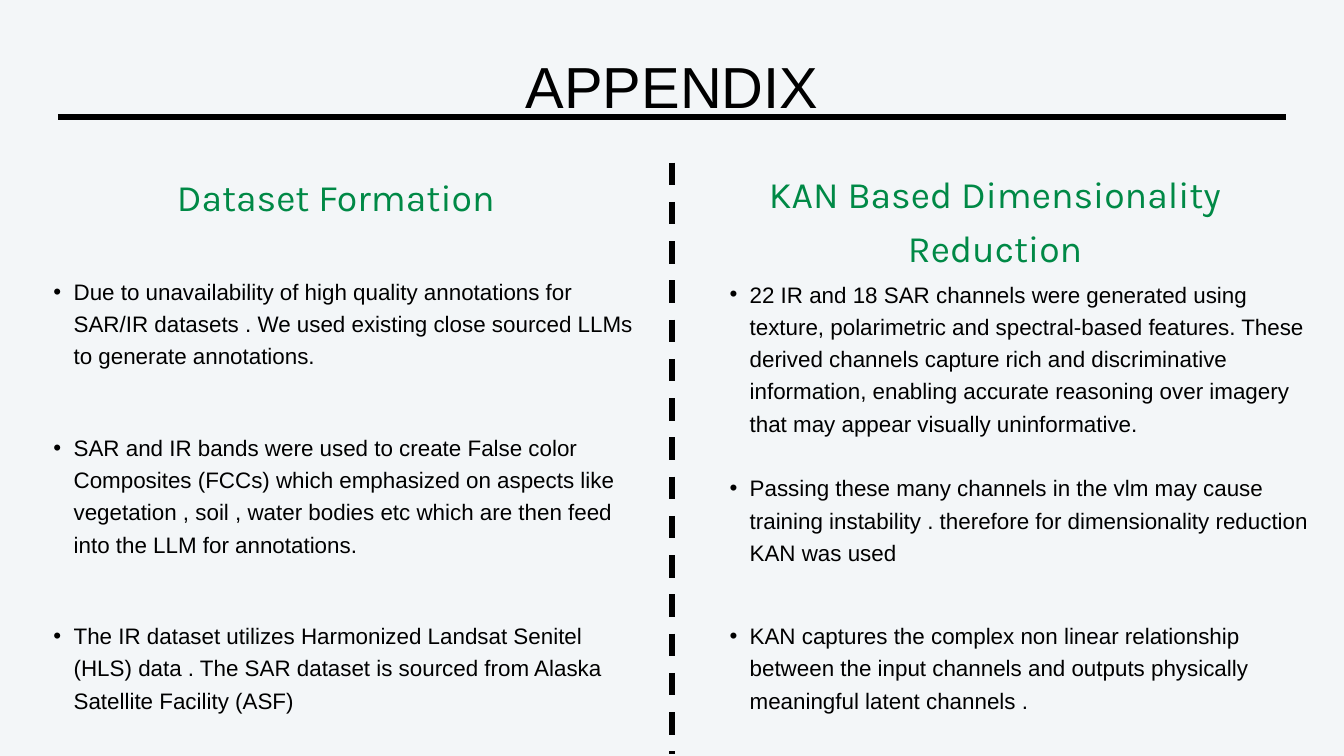
import pptx
import pptx.dml.color
import pptx.enum.dml
import pptx.enum.shapes
import pptx.enum.text
import pptx.oxml.ns
import pptx.util
from lxml import etree
from pptx.util import Inches

COLORS = {"background": "F3F6F8", "text": "000000", "heading": "008946"}


def rgb(name):
    return pptx.dml.color.RGBColor.from_string(COLORS[name])


def add_text(text, left, top, width, height, size, font="Arial",
             color="text", inset=0, bullet=False):
    box = slide.shapes.add_textbox(
        Inches(left), Inches(top), Inches(width), Inches(height))
    frame = box.text_frame
    frame.word_wrap = True
    frame.margin_left = frame.margin_right = Inches(inset)
    frame.margin_top = frame.margin_bottom = Inches(inset)
    paragraph = frame.paragraphs[0]
    paragraph.text = text
    paragraph.line_spacing = 1.2
    if bullet:
        properties = paragraph._p.get_or_add_pPr()
        properties.set("marL", str(Inches(0.33)))
        properties.set("indent", str(Inches(-0.15)))
        bullet_color = etree.SubElement(properties, pptx.oxml.ns.qn("a:buClr"))
        etree.SubElement(bullet_color, pptx.oxml.ns.qn("a:srgbClr"), val=COLORS[color])
        etree.SubElement(properties, pptx.oxml.ns.qn("a:buFont"), typeface="Arial")
        etree.SubElement(properties, pptx.oxml.ns.qn("a:buChar"), char="•")
    else:
        paragraph.alignment = pptx.enum.text.PP_ALIGN.CENTER
    run_font = paragraph.runs[0].font
    run_font.name = font
    run_font.size = pptx.util.Pt(size)
    run_font.color.rgb = rgb(color)


# 16:9 slide
presentation = pptx.Presentation()
presentation.slide_width = Inches(10)
presentation.slide_height = Inches(10) * 9 // 16
slide = presentation.slides.add_slide(presentation.slide_layouts[6])
slide.background.fill.solid()
slide.background.fill.fore_color.rgb = rgb("background")

# Title and column headings
add_text("APPENDIX", 0.28, 0.27, 9.44, 0.52, size=31)
add_text("Dataset Formation", 0, 1.23, 5, 0.34,
         size=20, font="Karla", color="heading")
add_text("KAN Based Dimensionality Reduction", 5.15, 1.21, 4.51, 0.74,
         size=20, font="Karla", color="heading")

# Title rule and dashed column divider
for start_x, start_y, end_x, end_y, dash in [
    (0.43, 0.87, 9.57, 0.87, None),
    (5, 1.21, 5, 5.61, pptx.enum.dml.MSO_LINE.DASH),
]:
    connector = slide.shapes.add_connector(
        pptx.enum.shapes.MSO_CONNECTOR.STRAIGHT,
        Inches(start_x), Inches(start_y), Inches(end_x), Inches(end_y))
    connector.line.color.rgb = rgb("text")
    connector.line.width = pptx.util.Pt(3)
    if dash:
        connector.line.dash_style = dash
    etree.SubElement(connector._element.spPr, pptx.oxml.ns.qn("a:effectLst"))

# Bullets of each column: top, height, text
columns = {
    0.12: [
        (1.93, 0.89, "Due to unavailability of high quality annotations for SAR/IR "
         "datasets . We used existing close sourced LLMs to generate annotations."),
        (3.09, 1.13, "SAR and IR bands were used to create False color Composites "
         "(FCCs) which emphasized on aspects like vegetation , soil , water bodies "
         "etc which are then feed into the LLM for annotations."),
        (4.49, 0.89, "The IR dataset utilizes Harmonized Landsat Senitel (HLS) data . "
         "The SAR dataset is sourced from Alaska Satellite Facility (ASF)"),
    ],
    5.15: [
        (1.95, 1.37, "22 IR and 18 SAR channels were generated using texture, "
         "polarimetric and spectral-based features. These derived channels capture "
         "rich and discriminative information, enabling accurate reasoning over "
         "imagery that may appear visually uninformative."),
        (3.39, 0.89, "Passing these many channels in the vlm may cause training "
         "instability . therefore for dimensionality reduction KAN was used"),
        (4.49, 0.89, "KAN captures the complex non linear relationship between the "
         "input channels and outputs physically meaningful latent channels ."),
    ],
}
for left, bullets in columns.items():
    for top, height, text in bullets:
        add_text(text, left, top, 4.74, height, size=12, inset=0.1, bullet=True)

presentation.save("out.pptx")
